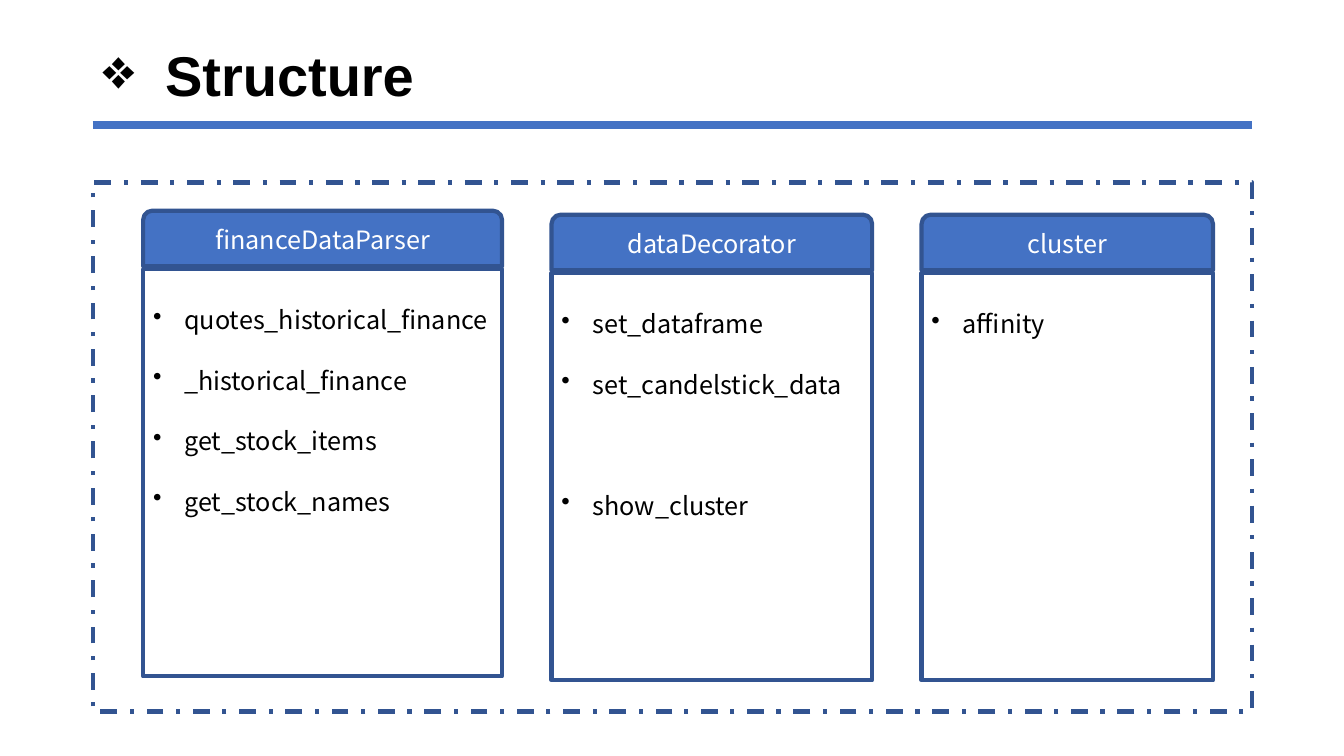
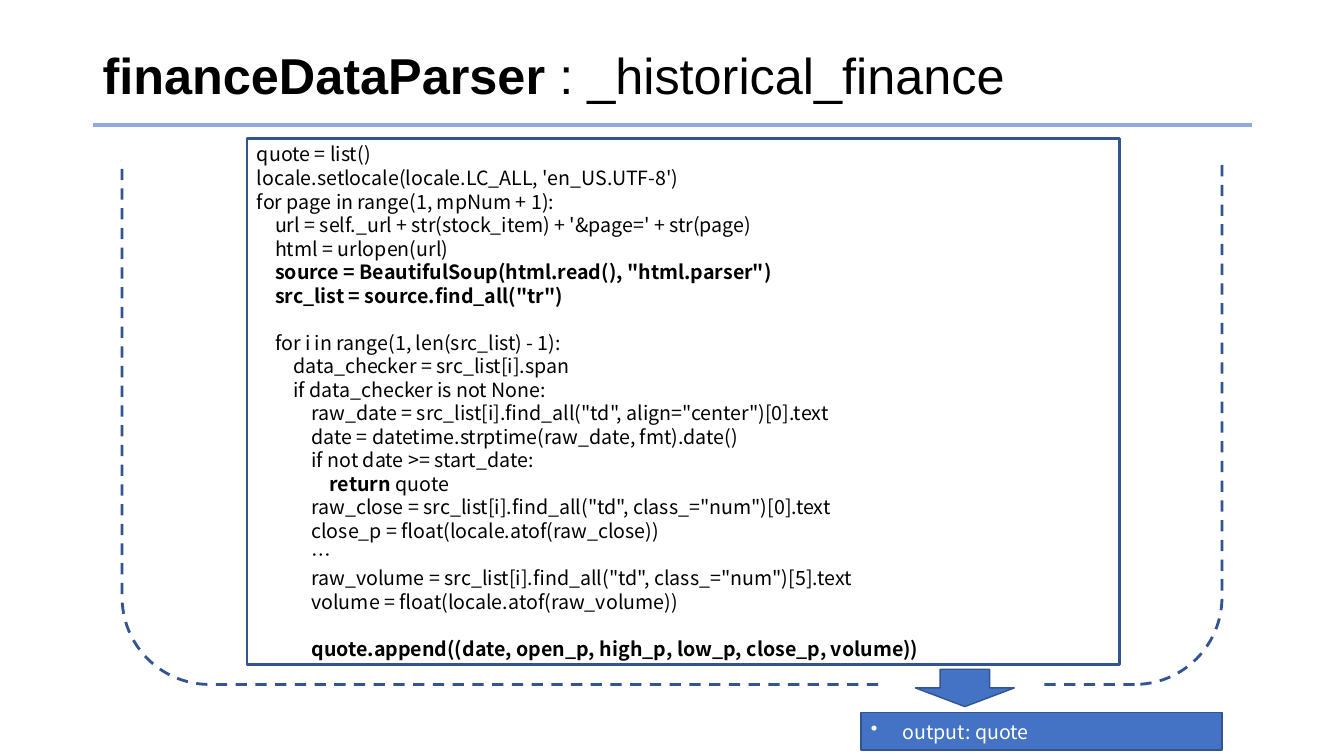
from lxml import etree
from pptx import Presentation
from pptx.dml.color import RGBColor
from pptx.enum import dml, shapes, text
from pptx.oxml import ns
from pptx.util import Inches, Pt

BLUE = RGBColor(0x44, 0x72, 0xC4)
NAVY = RGBColor(0x32, 0x54, 0x91)
PALE_BLUE = RGBColor(0x8F, 0xAA, 0xDC)
BLACK = RGBColor(0, 0, 0)
WHITE = RGBColor(255, 255, 255)

TITLE_FONT = "Arial"
BODY_FONT = "Noto Sans CJK KR"
LINE_RATIO = 1.2
SHAPE = shapes.MSO_SHAPE
DASH = dml.MSO_LINE
MIDDLE = text.MSO_ANCHOR.MIDDLE
LEFT, CENTER = text.PP_ALIGN.LEFT, text.PP_ALIGN.CENTER

MARGIN, CONTENT_WIDTH = 0.92, 11.5
TITLE_BOX = (MARGIN, 0.4, CONTENT_WIDTH, 0.75)
RULE_TOP = 1.24
HEADER_HEIGHT, BODY_OFFSET, BODY_HEIGHT = 0.55, 0.58, 4.04
BULLET_INDENT, CODE_INDENT = 0.31, 0.18

# Each class: left, top, width, name, methods; "" leaves one bullet row empty.
CLASSES = [
    (1.42, 2.09, 3.56, "financeDataParser",
     ["quotes_historical_finance", "_historical_finance",
      "get_stock_items", "get_stock_names"]),
    (5.47, 2.13, 3.18, "dataDecorator",
     ["set_dataframe", "set_candelstick_data", "", "show_cluster"]),
    (9.14, 2.13, 2.89, "cluster", ["affinity"]),
]

# Indent level and code; text between ** marks is bold, None is an empty line.
CODE = [
    (0, "quote = list()"),
    (0, "locale.setlocale(locale.LC_ALL, 'en_US.UTF-8')"),
    (0, "for page in range(1, mpNum + 1):"),
    (1, "url = self._url + str(stock_item) + '&page=' + str(page)"),
    (1, "html = urlopen(url)"),
    (1, '**source = BeautifulSoup(html.read(), "html.parser")**'),
    (1, '**src_list = source.find_all("tr")**'),
    None,
    (1, "for i in range(1, len(src_list) - 1):"),
    (2, "data_checker = src_list[i].span"),
    (2, "if data_checker is not None:"),
    (3, 'raw_date = src_list[i].find_all("td", align="center")[0].text'),
    (3, "date = datetime.strptime(raw_date, fmt).date()"),
    (3, "if not date >= start_date:"),
    (4, "**return **quote"),
    (3, 'raw_close = src_list[i].find_all("td", class_="num")[0].text'),
    (3, "close_p = float(locale.atof(raw_close))"),
    (3, "…"),
    (3, 'raw_volume = src_list[i].find_all("td", class_="num")[5].text'),
    (3, "volume = float(locale.atof(raw_volume))"),
    None,
    (3, "**quote.append((date, open_p, high_p, low_p, close_p, volume))**"),
]


def set_all(target, **values):
    for name, value in values.items():
        setattr(target, name, value)


def add_box(slide, preset, box, fill=None, line=NAVY, weight=1, dash=None):
    shape = slide.shapes.add_shape(preset, *map(Inches, box))
    shape.shadow.inherit = False
    if fill is None:
        shape.fill.background()
    else:
        shape.fill.solid()
        shape.fill.fore_color.rgb = fill
    shape.line.color.rgb = line
    set_all(shape.line, width=Pt(weight), dash_style=dash)
    return shape


def add_runs(paragraph, marked, size, color=BLACK, font=BODY_FONT):
    """Write text whose parts between ** marks are bold."""
    for index, part in enumerate(marked.split("**")):
        if part:
            run = paragraph.add_run()
            run.text = part
            set_all(run.font, name=font, size=Pt(size), bold=index % 2 == 1)
            run.font.color.rgb = color
            etree.SubElement(run._r.get_or_add_rPr(), ns.qn("a:ea"),
                             typeface=font)


def indent(paragraph, left, bullet=None):
    """Set the left indent; a bullet hangs in that indent."""
    properties = paragraph._p.get_or_add_pPr()
    properties.set("marL", str(Inches(left)))
    if bullet:
        properties.set("indent", str(-Inches(left)))
        etree.SubElement(properties, ns.qn("a:buChar"), char=bullet)


def add_lines(frame, lines, size, write):
    """Write one paragraph per line; empty lines become space before."""
    skipped = 0
    paragraph = None
    for line in lines:
        if not line:
            skipped += 1
            continue
        paragraph = frame.add_paragraph() if paragraph else frame.paragraphs[0]
        set_all(paragraph, alignment=LEFT,
                space_before=Pt(round(skipped * size * LINE_RATIO, 1)))
        write(paragraph, line)
        skipped = 0


def add_title(slide, marked, size, rule_color, rule_weight, bullet=None):
    title = slide.shapes.add_textbox(*map(Inches, TITLE_BOX))
    set_all(title.text_frame, word_wrap=True, vertical_anchor=MIDDLE)
    heading = title.text_frame.paragraphs[0]
    heading.line_spacing = 0.9
    if bullet:
        indent(heading, 0.62, bullet)
    add_runs(heading, marked, size, font=TITLE_FONT)

    ends = (MARGIN, RULE_TOP, MARGIN + CONTENT_WIDTH, RULE_TOP)
    rule = slide.shapes.add_connector(shapes.MSO_CONNECTOR.STRAIGHT,
                                      *map(Inches, ends))
    rule.line.color.rgb = rule_color
    rule.line.width = Pt(rule_weight)
    etree.SubElement(rule._element.spPr, ns.qn("a:effectLst"))


def add_class_card(slide, left, top, width, name, methods):
    size = 18
    body = add_box(slide, SHAPE.RECTANGLE,
                   (left, top + BODY_OFFSET, width, BODY_HEIGHT), WHITE, weight=3)
    set_all(body.text_frame, word_wrap=True, margin_top=Inches(0.35),
            vertical_anchor=text.MSO_ANCHOR.TOP)

    def write_method(paragraph, method):
        indent(paragraph, BULLET_INDENT, "•")
        add_runs(paragraph, method, size)

    rows = [row for method in methods for row in ("", method)]
    add_lines(body.text_frame, rows[1:], size, write_method)

    header = add_box(slide, SHAPE.ROUND_2_SAME_RECTANGLE,
                     (left, top, width, HEADER_HEIGHT), BLUE, weight=3)
    header.text_frame.vertical_anchor = MIDDLE
    label = header.text_frame.paragraphs[0]
    label.alignment = CENTER
    add_runs(label, name, size, WHITE)


def add_code_box(slide, box):
    size = 14
    listing = add_box(slide, SHAPE.RECTANGLE, box, weight=2)
    set_all(listing.text_frame, word_wrap=True, vertical_anchor=MIDDLE)

    def write_code(paragraph, line):
        level, code = line
        indent(paragraph, level * CODE_INDENT)
        add_runs(paragraph, code, size)

    add_lines(listing.text_frame, CODE, size, write_code)


def add_open_frame(slide, left, top, width, height):
    """Dashed tray, open at the top and where the output arrow leaves."""
    tray = add_box(slide, SHAPE.ROUND_2_SAME_RECTANGLE,
                   (left, top, width, height), weight=2, dash=DASH.DASH)
    tray.rotation = 180
    for gap in [(left, top - 0.19, width, 0.22),
                (left + 7.55, top + height - 0.11, 1.59, 0.3)]:
        add_box(slide, SHAPE.RECTANGLE, gap, WHITE, WHITE)


def add_output(slide, left, top, width, height):
    result = add_box(slide, SHAPE.RECTANGLE, (left, top, width, height), BLUE)
    set_all(result.text_frame, word_wrap=True, vertical_anchor=MIDDLE)
    label = result.text_frame.paragraphs[0]
    label.alignment = LEFT
    indent(label, BULLET_INDENT, "•")
    add_runs(label, "output: quote", 14, WHITE)
    add_box(slide, SHAPE.DOWN_ARROW, (left + 0.54, top - 0.43, 0.98, 0.37), BLUE)


def build_structure(slide):
    add_title(slide, "**Structure**", 40, BLUE, 6, "❖")
    add_box(slide, SHAPE.RECTANGLE, (MARGIN, 1.81, CONTENT_WIDTH, 5.25),
            weight=3, dash=DASH.DASH_DOT)
    for card in CLASSES:
        add_class_card(slide, *card)


def build_code(slide):
    add_title(slide, "**financeDataParser** : _historical_finance", 36,
              PALE_BLUE, 3)
    add_open_frame(slide, 1.21, 1.59, 10.91, 5.2)
    add_code_box(slide, (2.45, 1.37, 8.65, 5.22))
    add_output(slide, 8.54, 7.07, 3.58, 0.37)


def main():
    deck = Presentation()
    set_all(deck, slide_width=Inches(13.33), slide_height=Inches(7.5))
    for build in (build_structure, build_code):
        build(deck.slides.add_slide(deck.slide_layouts[6]))
    deck.save("out.pptx")


if __name__ == "__main__":
    main()
